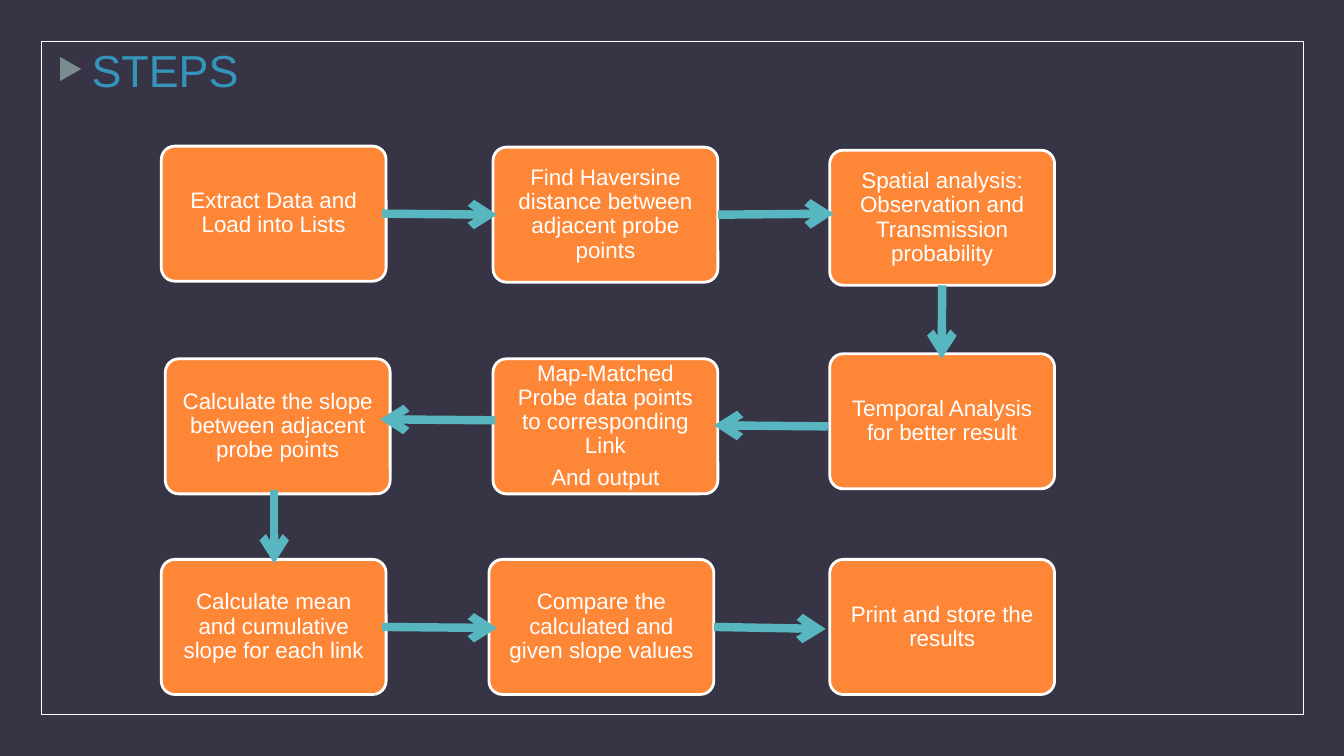
from dataclasses import dataclass

from lxml.etree import SubElement
from pptx import Presentation
from pptx.dml.color import RGBColor
from pptx.enum.shapes import MSO_CONNECTOR, MSO_SHAPE
from pptx.enum.text import MSO_ANCHOR, MSO_AUTO_SIZE, PP_ALIGN
from pptx.oxml.ns import qn
from pptx.shapes.autoshape import Shape
from pptx.slide import Slide
from pptx.util import Inches, Pt


@dataclass(frozen=True)
class Theme:
    font: str = "Arial"
    title_size: int = 32
    step_size: int = 16
    background: RGBColor = RGBColor(0x37, 0x35, 0x45)
    title: RGBColor = RGBColor(0x34, 0x94, 0xBA)
    marker: RGBColor = RGBColor(0x7A, 0x8C, 0x8E)
    step: RGBColor = RGBColor(0xFE, 0x86, 0x37)
    arrow: RGBColor = RGBColor(0x58, 0xB6, 0xC0)
    white: RGBColor = RGBColor(0xFF, 0xFF, 0xFF)


@dataclass(frozen=True)
class Step:
    name: str
    left: float
    top: float
    text: str


@dataclass(frozen=True)
class Arrow:
    start: tuple[float, float]
    end: tuple[float, float]
    source: str = ""
    side: int = 3


THEME = Theme()
STEP_WIDTH, STEP_HEIGHT = 2.23, 1.34
BOTTOM, RIGHT = 2, 3

STEPS = [
    Step("extract", 1.6, 1.45, "Extract Data and Load into Lists"),
    Step("distance", 4.89, 1.46, "Find Haversine distance between adjacent probe points"),
    Step("spatial", 8.23, 1.49, "Spatial analysis: Observation and Transmission probability"),
    Step("temporal", 8.23, 3.51, "Temporal Analysis for better result"),
    Step("match", 4.89, 3.56,
         "Map-Matched Probe data points to corresponding Link\nAnd output"),
    Step("slope", 1.64, 3.56, "Calculate the slope between adjacent probe points"),
    Step("mean", 1.6, 5.55, "Calculate mean and cumulative slope for each link"),
    Step("compare", 4.85, 5.55, "Compare the calculated and given slope values"),
    Step("print", 8.23, 5.55, "Print and store the results"),
]

ARROWS = [
    Arrow((3.79, 2.12), (4.93, 2.13)),
    Arrow((7.12, 2.12), (8.27, 2.12), "distance", RIGHT),
    Arrow((9.34, 2.83), (9.34, 3.56), "spatial", BOTTOM),
    Arrow((8.21, 4.23), (7.08, 4.22)),
    Arrow((4.91, 4.17), (3.77, 4.16)),
    Arrow((2.72, 4.86), (2.72, 5.59)),
    Arrow((3.79, 6.22), (4.93, 6.23)),
    Arrow((7.08, 6.23), (8.19, 6.24), "compare", RIGHT),
]


def add_frame(page: Slide) -> None:
    frame = page.shapes.add_shape(
        MSO_SHAPE.RECTANGLE, Inches(0.41), Inches(0.41), Inches(12.52), Inches(6.68))
    frame.shadow.inherit = False
    frame.fill.background()
    frame.line.color.rgb = THEME.white
    frame.line.width = Pt(0.5)


def add_title(page: Slide) -> None:
    box = page.shapes.add_textbox(Inches(0.81), Inches(0.37), Inches(1.75), Inches(0.64))
    box.text_frame.word_wrap = False
    box.text_frame.auto_size = MSO_AUTO_SIZE.SHAPE_TO_FIT_TEXT
    box.text_frame.text = "STEPS"
    font = box.text_frame.paragraphs[0].runs[0].font
    font.name, font.size = THEME.font, Pt(THEME.title_size)
    font.color.rgb = THEME.title

    marker = page.shapes.add_shape(
        MSO_SHAPE.ISOSCELES_TRIANGLE, Inches(0.58), Inches(0.58), Inches(0.24), Inches(0.21))
    marker.rotation = 90
    marker.shadow.inherit = False
    marker.fill.solid()
    marker.fill.fore_color.rgb = THEME.marker
    marker.line.fill.background()


def add_step(page: Slide, step: Step) -> Shape:
    box = page.shapes.add_shape(
        MSO_SHAPE.ROUNDED_RECTANGLE, Inches(step.left), Inches(step.top),
        Inches(STEP_WIDTH), Inches(STEP_HEIGHT))
    box.adjustments[0] = 0.1
    box.shadow.inherit = False
    box.fill.solid()
    box.fill.fore_color.rgb = THEME.step
    box.line.color.rgb = THEME.white
    box.line.width = Pt(2)

    frame = box.text_frame
    frame.word_wrap = True
    frame.vertical_anchor = MSO_ANCHOR.MIDDLE
    frame.margin_left = frame.margin_right = Inches(0.11)
    frame.margin_top = frame.margin_bottom = Inches(0.11)
    frame.text = step.text
    for paragraph in frame.paragraphs:
        paragraph.alignment = PP_ALIGN.CENTER
        paragraph.line_spacing = 0.9
        for span in paragraph.runs:
            span.font.name, span.font.size = THEME.font, Pt(THEME.step_size)
            span.font.color.rgb = THEME.white
    for paragraph in frame.paragraphs[:-1]:
        paragraph.space_after = Pt(0.35 * THEME.step_size)
    return box


def add_arrow(page: Slide, arrow: Arrow, boxes: dict[str, Shape]) -> None:
    """Draw an arrow, joined to its source step where it starts mid-side."""
    points = [Inches(length) for length in (*arrow.start, *arrow.end)]
    connector = page.shapes.add_connector(MSO_CONNECTOR.STRAIGHT, *points)
    if arrow.source:
        connector.begin_connect(boxes[arrow.source], arrow.side)
    connector.line.color.rgb = THEME.arrow
    connector.line.width = Pt(6)
    SubElement(connector.line._get_or_add_ln(), qn("a:tailEnd"), type="arrow")
    SubElement(connector._element.spPr, qn("a:effectLst"))


def main() -> None:
    deck = Presentation()
    deck.slide_width, deck.slide_height = Inches(13.33), Inches(7.5)
    page = deck.slides.add_slide(deck.slide_layouts[6])
    page.background.fill.solid()
    page.background.fill.fore_color.rgb = THEME.background

    add_frame(page)
    add_title(page)
    boxes = {step.name: add_step(page, step) for step in STEPS}
    for arrow in ARROWS:
        add_arrow(page, arrow, boxes)
    deck.save("out.pptx")


if __name__ == "__main__":
    main()
